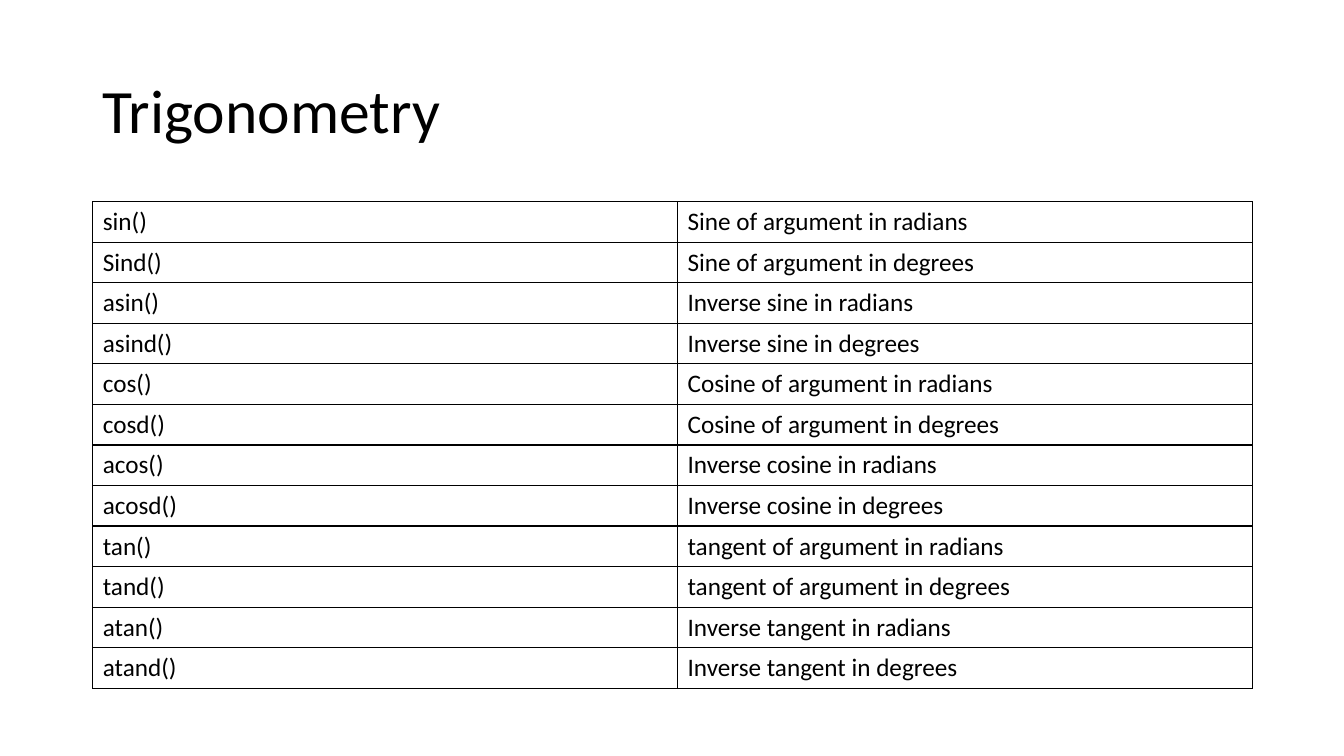
from lxml import etree
from pptx import Presentation
from pptx.dml.color import RGBColor
from pptx.enum.text import MSO_ANCHOR
from pptx.oxml.ns import qn
from pptx.util import Inches, Pt

MIDDLE = MSO_ANCHOR.MIDDLE
FONT = "Calibri"
COLORS = {"ink": "000000", "paper": "FFFFFF"}
TRIG = [
    ("sin()", "Sine of argument in radians"),
    ("Sind()", "Sine of argument in degrees"),
    ("asin()", "Inverse sine in radians"),
    ("asind()", "Inverse sine in degrees"),
    ("cos()", "Cosine of argument in radians"),
    ("cosd()", "Cosine of argument in degrees"),
    ("acos()", "Inverse cosine in radians"),
    ("acosd()", "Inverse cosine in degrees"),
    ("tan()", "tangent of argument in radians"),
    ("tand()", "tangent of argument in degrees"),
    ("atan()", "Inverse tangent in radians"),
    ("atand()", "Inverse tangent in degrees"),
]


def color(name):
    return RGBColor.from_string(COLORS[name])


def add_run(para, text, size):
    run = para.add_run()
    run.text = text
    run.font.name = FONT
    run.font.size = Pt(size)
    run.font.color.rgb = color("ink")


def add_title(slide, text, left, top, width, height):
    box = slide.shapes.add_textbox(
        Inches(left), Inches(top), Inches(width), Inches(height))
    frame = box.text_frame
    frame.word_wrap = True
    frame.vertical_anchor = MIDDLE
    para = frame.paragraphs[0]
    para.line_spacing = 0.9
    add_run(para, text, 44)


def set_borders(cell):
    """Draw a thin line on all four sides; lines must precede the fill."""
    props = cell._tc.get_or_add_tcPr()
    for at, side in enumerate(("a:lnL", "a:lnR", "a:lnT", "a:lnB")):
        line = etree.Element(qn(side), w=str(Pt(1)))
        fill = etree.SubElement(line, qn("a:solidFill"))
        etree.SubElement(fill, qn("a:srgbClr"), val=COLORS["ink"])
        props.insert(at, line)


def add_grid(slide, rows, widths, left, top, height):
    table = slide.shapes.add_table(
        len(rows), len(widths), Inches(left), Inches(top),
        Inches(sum(widths)), Inches(height)).table
    table.first_row = False
    table.horz_banding = False
    for col, width in zip(table.columns, widths):
        col.width = Inches(width)
    for y, row in enumerate(rows):
        for x, text in enumerate(row):
            cell = table.cell(y, x)
            cell.fill.solid()
            cell.fill.fore_color.rgb = color("paper")
            set_borders(cell)
            add_run(cell.text_frame.paragraphs[0], text, 18)


def main():
    deck = Presentation()
    deck.slide_width = Inches(13.33)
    deck.slide_height = Inches(7.5)
    slide = deck.slides.add_slide(deck.slide_layouts[6])
    add_title(slide, "Trigonometry", 0.92, 0.4, 11.5, 1.45)
    add_grid(slide, TRIG, (5.8, 5.7), 0.92, 2, 4.83)
    deck.save("out.pptx")


if __name__ == "__main__":
    main()
